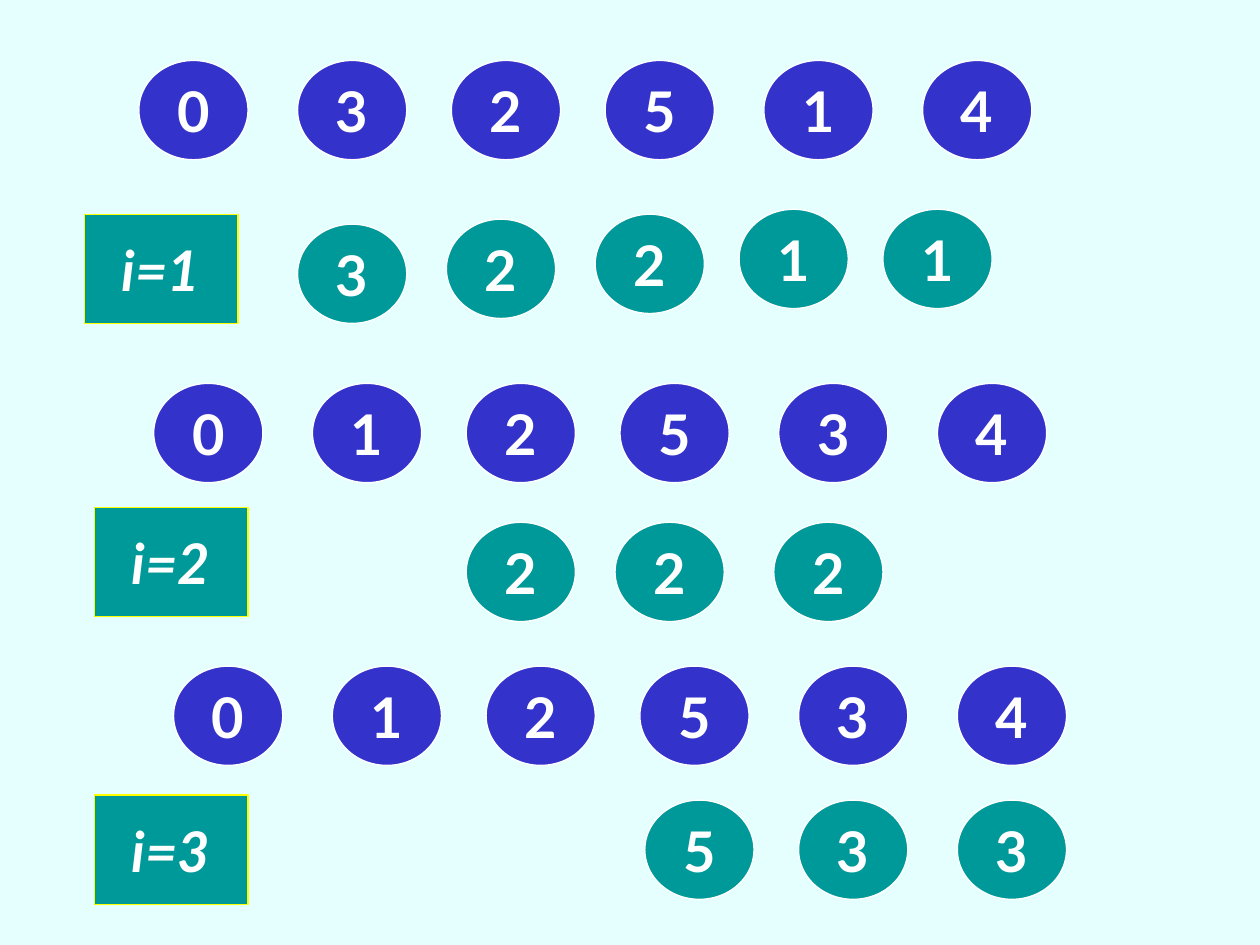
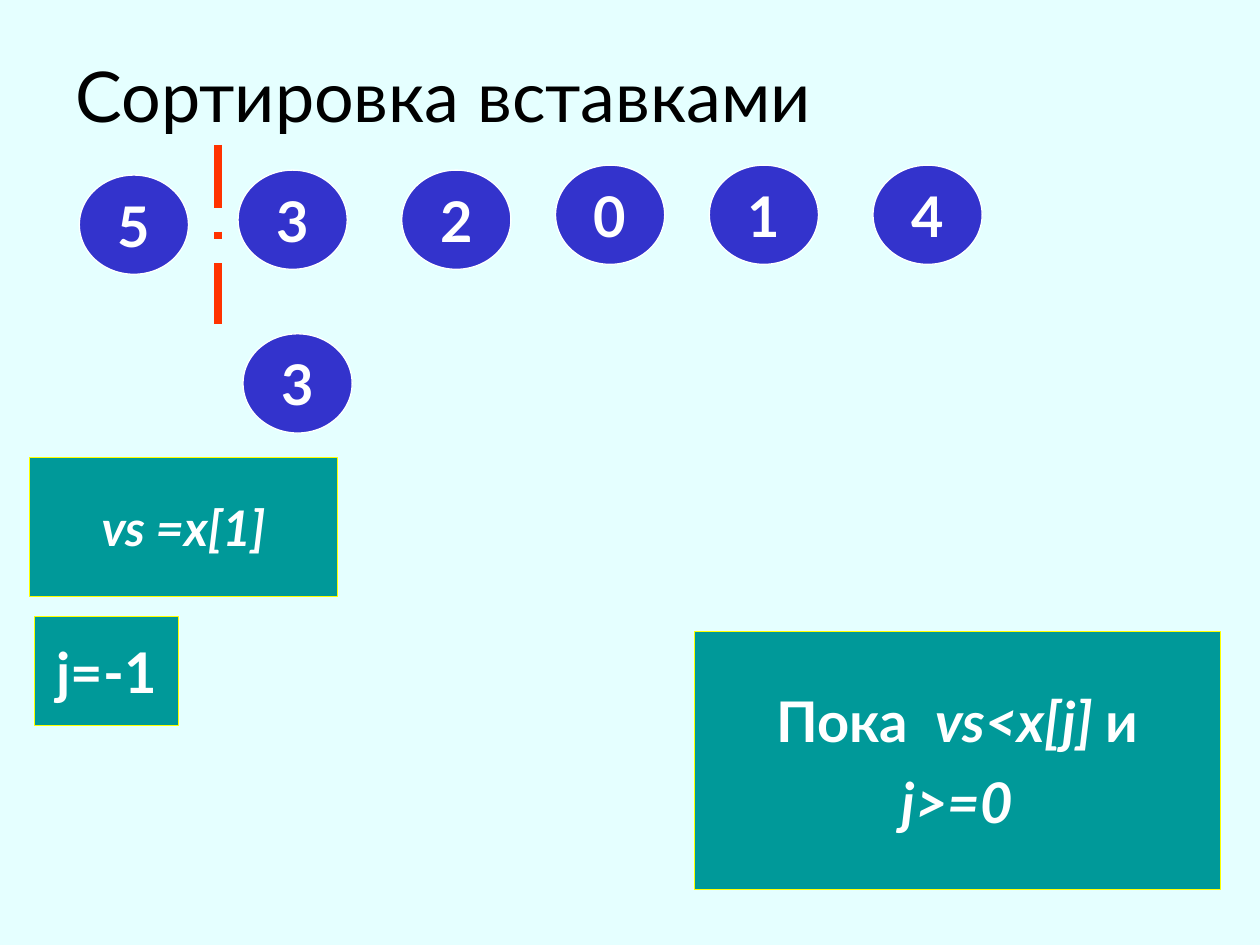
"""Build two slides that trace selection sort and insertion sort."""
from pptx import Presentation
from pptx.dml.color import RGBColor
from pptx.enum.dml import MSO_LINE
from pptx.enum.shapes import MSO_CONNECTOR, MSO_SHAPE
from pptx.enum.text import MSO_ANCHOR, MSO_AUTO_SIZE, PP_ALIGN
from pptx.oxml.ns import qn
from pptx.util import Inches, Pt
from lxml.etree import SubElement

PALE = RGBColor(0xE5, 0xFF, 0xFF)
BLUE = RGBColor(0x33, 0x33, 0xCC)
TEAL = RGBColor(0x00, 0x99, 0x99)
RED = RGBColor(0xFF, 0x33, 0x00)
YELLOW = RGBColor(0xFF, 0xFF, 0x00)
WHITE = RGBColor(0xFF, 0xFF, 0xFF)
BLACK = RGBColor(0x00, 0x00, 0x00)

FONT = "Lato"
COLUMNS, ROWS = 254, 190.5
BALL_SIZE = (22, 20)
BALL_STEPS = (0, 32, 63, 94, 126, 158)
TITLE_ONLY, BLANK = 5, 6

PASSES = [
    {"values": "032514", "at": (28, 12.2), "label": "i=1", "label_at": (17, 43.2),
     "minimums": "32211",
     "spots": [(60, 45.2), (90, 44.2), (120, 43.2), (149, 42.2), (178, 42.2)]},
    {"values": "012534", "at": (31, 77.3), "label": "i=2", "label_at": (19, 102.3),
     "minimums": "222", "spots": [(x, 105.3) for x in (94, 124, 156)]},
    {"values": "012534", "at": (35, 134.3), "label": "i=3", "label_at": (19, 160.3),
     "minimums": "533", "spots": [(x, 161.3) for x in (130, 161, 193)]},
]


class Deck:
    """Hold the shared style and the current slide."""

    def __init__(self):
        """Start a 10 by 7.5 inch deck on a pale background."""
        self.prs = Presentation()
        self.prs.slide_width, self.prs.slide_height = Inches(10), Inches(7.5)
        fill = self.prs.slide_master.background.fill
        fill.solid()
        fill.fore_color.rgb = PALE
        self.s = None

    def place(self, col, row):
        """Turn a grid position or size into slide lengths."""
        return (round(self.prs.slide_width * col / COLUMNS),
                round(self.prs.slide_height * row / ROWS))

    def slide(self, layout=BLANK):
        """Add a slide and make it current."""
        self.s = self.prs.slides.add_slide(self.prs.slide_layouts[layout])

    def style(self, font, size, color, bold=False, italic=False):
        """Apply the deck font to a paragraph."""
        font.name, font.size, font.bold, font.italic = FONT, Pt(size), bold, italic
        font.color.rgb = color

    def title(self, text):
        """Fill and move the title placeholder."""
        sp = self.s.shapes.title
        sp.left, sp.top = self.place(12.7, 10.7)
        sp.width, sp.height = self.place(228.6, 16.8)
        tf = sp.text_frame
        tf.text = text
        tf.auto_size = MSO_AUTO_SIZE.NONE
        tf.vertical_anchor = MSO_ANCHOR.MIDDLE
        p = tf.paragraphs[0]
        p.alignment = PP_ALIGN.LEFT
        self.style(p.font, 40, BLACK)

    def shape(self, kind, at, size, fill, line, lines, font_size=32, italic=False):
        """Draw a filled shape with centred lines, each a list of runs."""
        sp = self.s.shapes.add_shape(kind, *self.place(*at), *self.place(*size))
        sp.shadow.inherit = False
        sp.fill.solid()
        sp.fill.fore_color.rgb = fill
        sp.line.color.rgb = line
        sp.line.width = Pt(0.75)
        tf = sp.text_frame
        tf.word_wrap = False
        tf.vertical_anchor = MSO_ANCHOR.MIDDLE
        for n, runs in enumerate(lines):
            p = tf.add_paragraph() if n else tf.paragraphs[0]
            p.alignment = PP_ALIGN.CENTER
            p.space_before = Pt(font_size / 4)
            self.style(p.font, font_size, WHITE, bold=True, italic=italic)
            for text, upright in runs:
                r = p.add_run()
                r.text = text
                if upright:
                    r.font.italic = False

    def ball(self, value, at, fill=BLUE):
        """Draw one array value."""
        self.shape(MSO_SHAPE.OVAL, at, BALL_SIZE, fill, WHITE, [[(value, False)]])

    def balls(self, values, spots, fill=BLUE):
        """Draw a value at each spot."""
        for value, at in zip(values, spots):
            self.ball(value, at, fill)

    def box(self, lines, at, size=(31, 22), font_size=32, italic=True):
        """Draw a note box."""
        self.shape(MSO_SHAPE.RECTANGLE, at, size, TEAL, YELLOW, lines,
                   font_size, italic)

    def divider(self, start, end):
        """Draw the dashed border of the sorted part."""
        line = self.s.shapes.add_connector(
            MSO_CONNECTOR.STRAIGHT, *self.place(*start), *self.place(*end))
        line.line.color.rgb = RED
        line.line.width = Pt(4.5)
        line.line.dash_style = MSO_LINE.LONG_DASH_DOT
        SubElement(line._element.spPr, qn("a:effectLst"))


def selection_slide(deck):
    """Show three passes with the running minimum of each."""
    deck.slide()
    for step in PASSES:
        left, top = step["at"]
        deck.balls(step["values"], [(left + dx, top) for dx in BALL_STEPS])
        deck.box([[(step["label"], False)]], step["label_at"])
        deck.balls(step["minimums"], step["spots"], TEAL)


def insertion_slide(deck):
    """Show the first insertion step."""
    deck.slide(TITLE_ONLY)
    deck.title("Сортировка вставками")
    deck.balls("532014", [(16, 35.3), (48, 34.3), (81, 34.3),
                          (112, 33.3), (143, 33.3), (176, 33.3)])
    deck.divider((44, 29.2), (44, 65.3))
    deck.ball("3", (49, 67.3))
    deck.box([[("vs =x[1]", False)]], (6, 92.3), (62, 28), font_size=28)
    deck.box([[("j=-1", False)]], (7, 124.3), (29, 22), italic=False)
    deck.box([[("Пока  ", True), ("vs<x[j] ", False), ("и", True)],
              [("j>=0", False)]], (140, 127.3), (106, 52))


def main():
    """Build and save the deck."""
    deck = Deck()
    selection_slide(deck)
    insertion_slide(deck)
    deck.prs.save("out.pptx")


if __name__ == "__main__":
    main()
